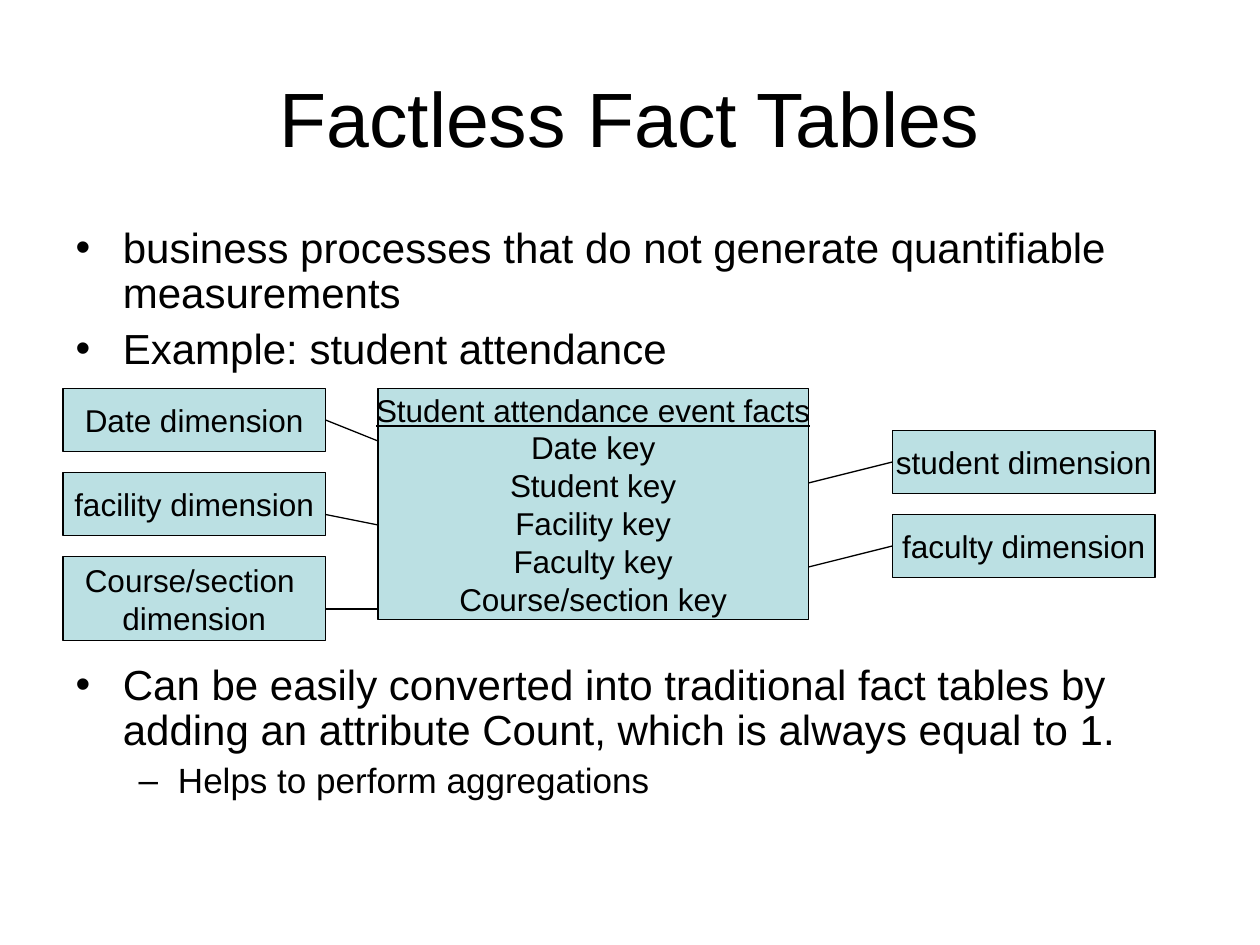
from dataclasses import dataclass

from lxml import etree
from pptx import Presentation
from pptx.dml.color import RGBColor
from pptx.enum.shapes import MSO_CONNECTOR, MSO_SHAPE
from pptx.enum.text import MSO_ANCHOR, MSO_AUTO_SIZE, PP_ALIGN
from pptx.oxml.ns import qn
from pptx.util import Inches, Pt

RECT = MSO_SHAPE.RECTANGLE
STRAIGHT = MSO_CONNECTOR.STRAIGHT
CENTER = PP_ALIGN.CENTER
MIDDLE, TOP = MSO_ANCHOR.MIDDLE, MSO_ANCHOR.TOP
NO_AUTOFIT = MSO_AUTO_SIZE.NONE

BLACK = RGBColor(0x00, 0x00, 0x00)
PALE_TEAL = RGBColor(0xBB, 0xE0, 0xE3)
FONT = "Arial"
LINE_WIDTH = Pt(0.75)

# The diagram sits on a grid of twelve cells to the inch
CELL = Inches(1) / 12
LEFT_SIDE, RIGHT_SIDE = 1, 3
DIM_COLS, DIM_ROWS = 25, 6
LEFT_COL, RIGHT_COL = 6, 85


@dataclass
class Box:
    col: int
    row: int
    lines: list[str]
    cols: int = DIM_COLS
    rows: int = DIM_ROWS


@dataclass
class Dimension:
    box: Box
    fact_row: int  # row where the line meets the fact table
    box_row: int   # row where the line meets the dimension


@dataclass
class Item:
    text: str
    size: int = 24
    before: int = 6
    level: int = 0


FACTS = Box(36, 37, ["Student attendance event facts", "Date key", "Student key",
                     "Facility key", "Faculty key", "Course/section key"], 41, 22)
DIMENSIONS = [
    Dimension(Box(LEFT_COL, 37, ["Date dimension"]), 42, 40),
    Dimension(Box(LEFT_COL, 45, ["facility dimension"]), 50, 49),
    Dimension(Box(LEFT_COL, 53, ["Course/section ", "dimension"], rows=8), 58, 58),
    Dimension(Box(RIGHT_COL, 41, ["student dimension"]), 46, 44),
    Dimension(Box(RIGHT_COL, 49, ["faculty dimension"]), 54, 52),
]
DIAGRAM_GAP = 166  # points left free for the diagram
ITEMS = [
    Item("business processes that do not generate quantifiable measurements"),
    Item("Example: student attendance"),
    Item("Can be easily converted into traditional fact tables by adding "
         "an attribute Count, which is always equal to 1.", before=DIAGRAM_GAP),
    Item("Helps to perform aggregations", size=20, before=5, level=1),
]


def grid(n: int) -> int:
    return round(n * CELL)


def set_font(p, size: int) -> None:
    p.font.name, p.font.size = FONT, Pt(size)
    p.font.color.rgb = BLACK


def place(s, left: float, top: float, width: float, height: float) -> None:
    """Place a shape by shares of the slide's width and height."""
    s.left, s.width = (round(prs.slide_width * v) for v in (left, width))
    s.top, s.height = (round(prs.slide_height * v) for v in (top, height))


def add_box(box: Box):
    s = slide.shapes.add_shape(RECT, *map(grid, (box.col, box.row, box.cols, box.rows)))
    s.shadow.inherit = False
    s.fill.solid()
    s.fill.fore_color.rgb = PALE_TEAL
    s.line.color.rgb = BLACK
    s.line.width = LINE_WIDTH
    tf = s.text_frame
    tf.word_wrap = False
    tf.vertical_anchor = MIDDLE
    tf.text = "\n".join(box.lines)
    for p in tf.paragraphs:
        p.alignment = CENTER
        set_font(p, 18)
    return s


def add_link(dim: Dimension, s) -> None:
    box = dim.box
    on_left = box.col < FACTS.col
    fact_col = FACTS.col if on_left else FACTS.col + FACTS.cols
    box_col = box.col + box.cols if on_left else box.col
    line = slide.shapes.add_connector(
        STRAIGHT, *map(grid, (fact_col, dim.fact_row, box_col, dim.box_row)))
    line.line.color.rgb = BLACK
    line.line.width = LINE_WIDTH
    etree.SubElement(line._element.spPr, qn("a:effectLst"))
    if dim.box_row * 2 == box.row * 2 + box.rows:
        line.end_connect(s, RIGHT_SIDE if on_left else LEFT_SIDE)


prs = Presentation()
prs.slide_width, prs.slide_height = Inches(10), Inches(7.5)
slide = prs.slides.add_slide(prs.slide_layouts[1])

# Title
title = slide.shapes.title
place(title, 0.05, 0.04, 0.9, 1 / 6)
title.text_frame.text = "Factless Fact Tables"
title.text_frame.vertical_anchor = MIDDLE
p = title.text_frame.paragraphs[0]
p.alignment = CENTER
set_font(p, 44)

# Bulleted list, parted by the diagram
body = slide.placeholders[1]
place(body, 0.05, 1.75 / 7.5, 0.9, 0.66)
tf = body.text_frame
tf.auto_size = NO_AUTOFIT
tf.vertical_anchor = TOP
tf.text = "\n".join(item.text for item in ITEMS)
for p, item in zip(tf.paragraphs, ITEMS):
    p.level = item.level
    p.line_spacing = 0.9
    p.space_before = Pt(item.before)
    set_font(p, item.size)

# Fact table with its underlined heading
facts = add_box(FACTS)
facts.text_frame.paragraphs[0].font.underline = True

# Dimensions and the lines that join them to the fact table
dimension_shapes = [add_box(dim.box) for dim in DIMENSIONS]
for dim, s in zip(DIMENSIONS, dimension_shapes):
    add_link(dim, s)

prs.save("out.pptx")
